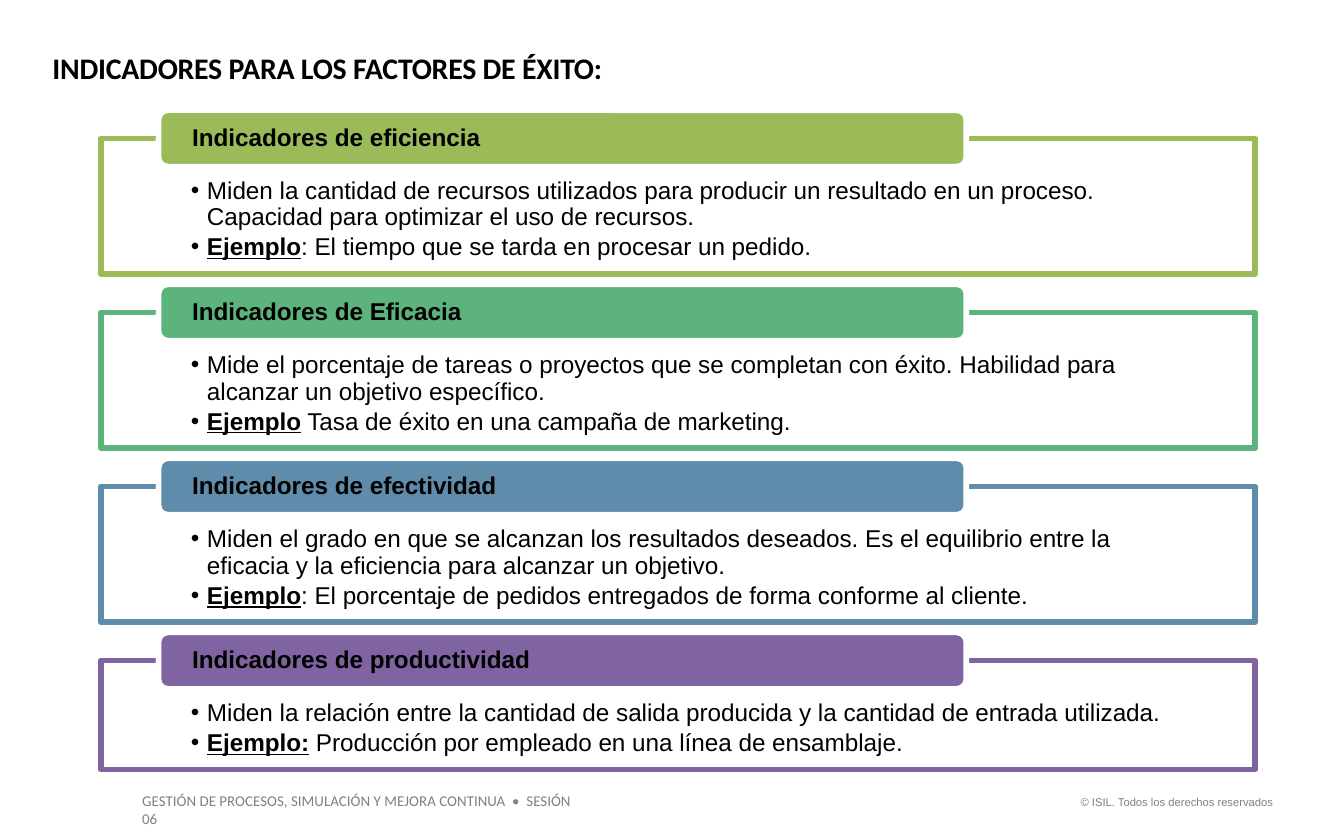
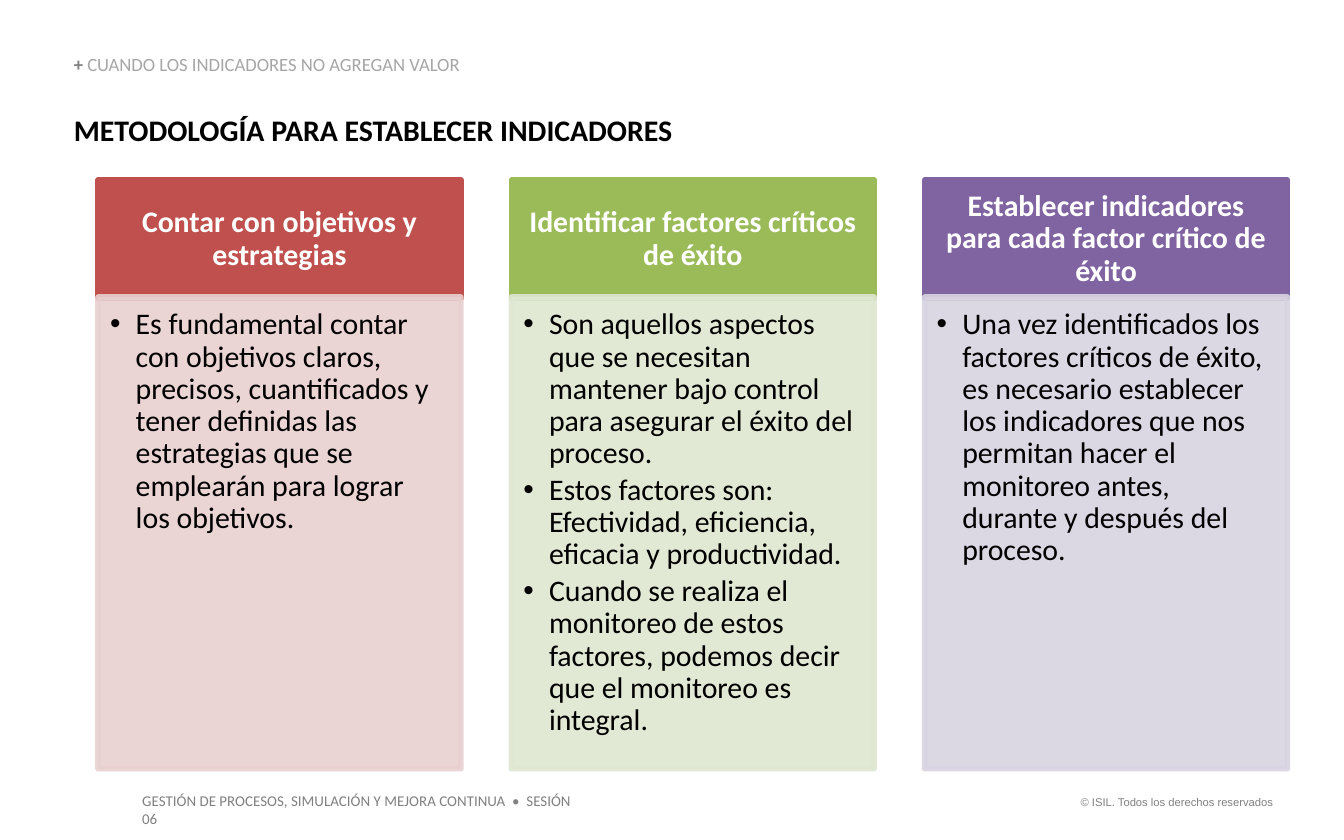
import lxml.etree
import pptx
import pptx.dml.color
import pptx.enum.shapes
import pptx.enum.text
import pptx.oxml.ns
import pptx.util

Inches = pptx.util.Inches
Pt = pptx.util.Pt
ALIGN = pptx.enum.text.PP_ALIGN
ANCHOR = pptx.enum.text.MSO_ANCHOR
SHAPE = pptx.enum.shapes.MSO_SHAPE
qn = pptx.oxml.ns.qn

SLIDE_WIDTH, SLIDE_HEIGHT = 10, 6.25
BLACK, WHITE, GRAY, LIGHT_GRAY = "000000", "FFFFFF", "808080", "A6A6A6"
RED, GREEN, TEAL, BLUE, PURPLE = "C0504D", "9BBB59", "5CB37C", "608CAB", "8064A2"

TITLE = {"name": "Calibri", "size": Pt(16), "bold": True, "color": BLACK}
FOOTER = {"name": "Calibri", "size": Pt(8), "color": GRAY}
COPYRIGHT = {"name": "Arial", "size": Pt(6), "color": GRAY}
KICKER = {"name": "Calibri", "size": Pt(10), "color": LIGHT_GRAY}
KICKER_SIGN = {**KICKER, "bold": True, "color": GRAY}
PANEL_TEXT = {"name": "Arial", "size": Pt(13), "color": BLACK}
PANEL_HEAD = {**PANEL_TEXT, "bold": True}
PANEL_EXAMPLE = {**PANEL_HEAD, "underline": True}
CARD_TEXT = {"name": "Calibri", "size": Pt(16), "color": BLACK}
CARD_HEAD = {**TITLE, "color": WHITE}

PANELS = [
    (GREEN, "Indicadores de eficiencia", 16.16,
     "Miden la cantidad de recursos utilizados para producir un resultado en un proceso. "
     "Capacidad para optimizar el uso de recursos.",
     "Ejemplo", ": El tiempo que se tarda en procesar un pedido."),
    (TEAL, "Indicadores de Eficacia", 16.16,
     "Mide el porcentaje de tareas o proyectos que se completan con éxito. "
     "Habilidad para alcanzar un objetivo específico.",
     "Ejemplo", " Tasa de éxito en una campaña de marketing."),
    (BLUE, "Indicadores de efectividad", 16.16,
     "Miden el grado en que se alcanzan los resultados deseados. "
     "Es el equilibrio entre la eficacia y la eficiencia para alcanzar un objetivo.",
     "Ejemplo", ": El porcentaje de pedidos entregados de forma conforme al cliente."),
    (PURPLE, "Indicadores de productividad", 12.96,
     "Miden la relación entre la cantidad de salida producida y la cantidad de entrada utilizada.",
     "Ejemplo:", " Producción por empleado en una línea de ensamblaje."),
]

CARDS = [
    (RED, "E8D0D0", "Contar con objetivos y estrategias",
     ["Es fundamental contar con objetivos claros, precisos, cuantificados y tener definidas "
      "las estrategias que se emplearán para lograr los objetivos."]),
    (GREEN, "DEE7D1", "Identificar factores críticos de éxito",
     ["Son aquellos aspectos que se necesitan mantener bajo control para asegurar el éxito "
      "del proceso.",
      "Estos factores son: Efectividad, eficiencia, eficacia y productividad.",
      "Cuando se realiza el monitoreo de estos factores, podemos decir que el monitoreo "
      "es integral."]),
    (PURPLE, "D8D3E0", "Establecer indicadores para cada factor crítico de éxito",
     ["Una vez identificados los factores críticos de éxito, es necesario establecer los "
      "indicadores que nos permitan hacer el monitoreo antes, durante y después del proceso."]),
]


def rgb(color):
    return pptx.dml.color.RGBColor.from_string(color)


def area(left, top, width, height):
    return [Inches(share * side / 100) for share, side in
            zip((left, top, width, height), (SLIDE_WIDTH, SLIDE_HEIGHT) * 2)]


def set_frame(shape, insets, anchor):
    frame = shape.text_frame
    sides = ("margin_left", "margin_top", "margin_right", "margin_bottom")
    values = dict(zip(sides, map(Inches, insets)))
    values.update(word_wrap=True, vertical_anchor=anchor,
                  auto_size=pptx.enum.text.MSO_AUTO_SIZE.NONE)
    for name, value in values.items():
        setattr(frame, name, value)


def set_bullet(para, indent):
    para.level = 1
    properties = para._p.get_or_add_pPr()
    properties.set("marL", str(Inches(indent)))
    properties.set("indent", str(-Inches(indent)))
    lxml.etree.SubElement(properties, qn("a:buFont")).set("typeface", "Arial")
    lxml.etree.SubElement(properties, qn("a:buChar")).set("char", "•")


def write(shape, paragraphs, align=ALIGN.LEFT, spacing=1.0, after=0, bullet=None):
    frame = shape.text_frame
    for index, spans in enumerate(paragraphs):
        para = frame.add_paragraph() if index else frame.paragraphs[0]
        if bullet:
            set_bullet(para, bullet)
        layout = {"alignment": align, "line_spacing": spacing,
                  "space_before": Pt(0), "space_after": Pt(after)}
        for name, value in layout.items():
            setattr(para, name, value)
        for text, style in spans:
            span = para.add_run()
            span.text = text
            for name, value in style.items():
                if name == "color":
                    span.font.color.rgb = rgb(value)
                else:
                    setattr(span.font, name, value)


def add_text(page, place, spans, insets=(0.1, 0.05, 0.1, 0.05), anchor=ANCHOR.TOP, **layout):
    box = page.shapes.add_textbox(*area(*place))
    set_frame(box, insets, anchor)
    write(box, [spans], **layout)


def add_box(page, kind, place, fill, line, insets, anchor, translucent=0):
    box = page.shapes.add_shape(kind, *area(*place))
    box.shadow.inherit = False
    box.fill.solid()
    box.fill.fore_color.rgb = rgb(fill)
    box.line.color.rgb = rgb(line)
    box.line.width = Pt(3)
    colors = list(box._element.spPr.iter(qn("a:srgbClr")))
    for color in colors[:translucent]:
        lxml.etree.SubElement(color, qn("a:alpha")).set("val", "90000")
    set_frame(box, insets, anchor)
    return box


def add_page(deck, title, place):
    page = deck.slides.add_slide(deck.slide_layouts[5])
    heading = page.shapes.title
    heading.left, heading.top, heading.width, heading.height = area(*place)
    set_frame(heading, (0, 0, 0, 0), ANCHOR.TOP)
    write(heading, [[(title, TITLE)]])
    add_text(page, (78.8, 93.92, 16.9, 3.2),
             [("© ISIL. Todos los derechos reservados", COPYRIGHT)], align=ALIGN.RIGHT)
    add_text(page, (9.6, 93.44, 35.3, 3.84),
             [("GESTIÓN DE PROCESOS, SIMULACIÓN Y MEJORA CONTINUA  •  SESIÓN 06", FOOTER)])
    return page


def add_panel(page, row, color, head, height, description, label, example):
    top = 13.12 + row * 20.72
    body = add_box(page, SHAPE.RECTANGLE, (7.5, top + 3.36, 85.9, height), WHITE, color,
                   (0.67, 0.3, 0.67, 0.1), ANCHOR.TOP, translucent=1)
    write(body, [[(description, PANEL_TEXT)], [(label, PANEL_EXAMPLE), (example, PANEL_TEXT)]],
          spacing=0.9, after=2, bullet=0.12)
    tab = add_box(page, SHAPE.ROUNDED_RECTANGLE, (11.8, top, 60.1, 6.72), color, WHITE,
                  (0.23, 0, 0.23, 0), ANCHOR.MIDDLE)
    write(tab, [[(head, PANEL_HEAD)]], spacing=0.9)


def add_card(page, column, color, tint, head, points):
    left = 7.3 + column * 30.75
    header = add_box(page, SHAPE.RECTANGLE, (left, 21.44, 27, 14.08), color, color,
                     (0.12, 0.07, 0.12, 0.07), ANCHOR.MIDDLE)
    write(header, [[(head, CARD_HEAD)]], align=ALIGN.CENTER, spacing=0.9)
    body = add_box(page, SHAPE.RECTANGLE, (left, 35.36, 27, 56.16), tint, tint,
                   (0.09, 0.09, 0.12, 0.14), ANCHOR.TOP, translucent=2)
    write(body, [[(point, CARD_TEXT)] for point in points], spacing=0.9, after=2.4, bullet=0.19)


def main():
    deck = pptx.Presentation()
    deck.slide_width, deck.slide_height = Inches(SLIDE_WIDTH), Inches(SLIDE_HEIGHT)

    factors = add_page(deck, "INDICADORES PARA LOS FACTORES DE ÉXITO:", (3.9, 5.92, 88, 4.32))
    for span in factors.shapes.title.text_frame.paragraphs[0].runs:
        span._r.get_or_add_rPr().set("spc", "-10")
    for row, panel in enumerate(PANELS):
        add_panel(factors, row, *panel)

    method = add_page(deck, "METODOLOGÍA PARA ESTABLECER INDICADORES", (5.5, 13.28, 88.6, 4.32))
    add_text(method, (5.5, 6.56, 30.3, 2.4),
             [("+ ", KICKER_SIGN), ("CUANDO LOS INDICADORES NO AGREGAN VALOR", KICKER)],
             insets=(0, 0, 0, 0), anchor=ANCHOR.BOTTOM, spacing=0.9)
    for column, card in enumerate(CARDS):
        add_card(method, column, *card)

    deck.save("out.pptx")


if __name__ == "__main__":
    main()
